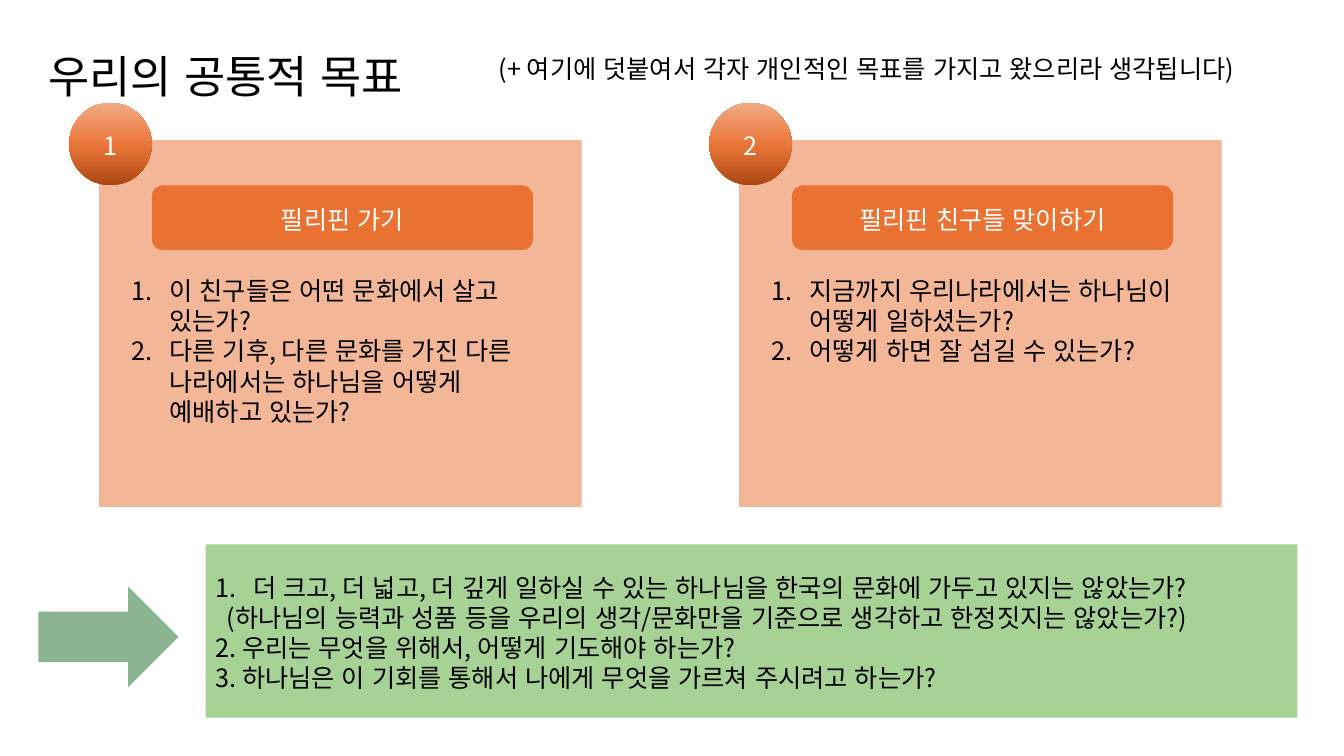
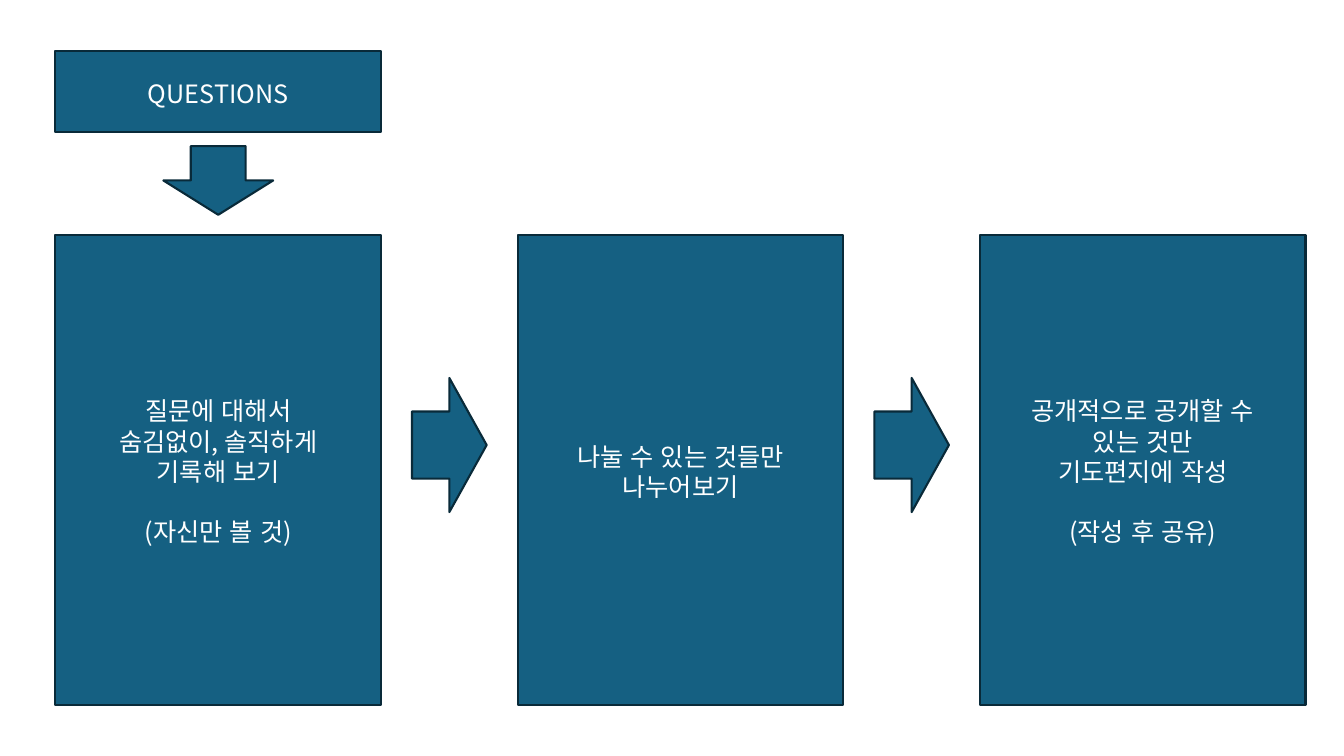
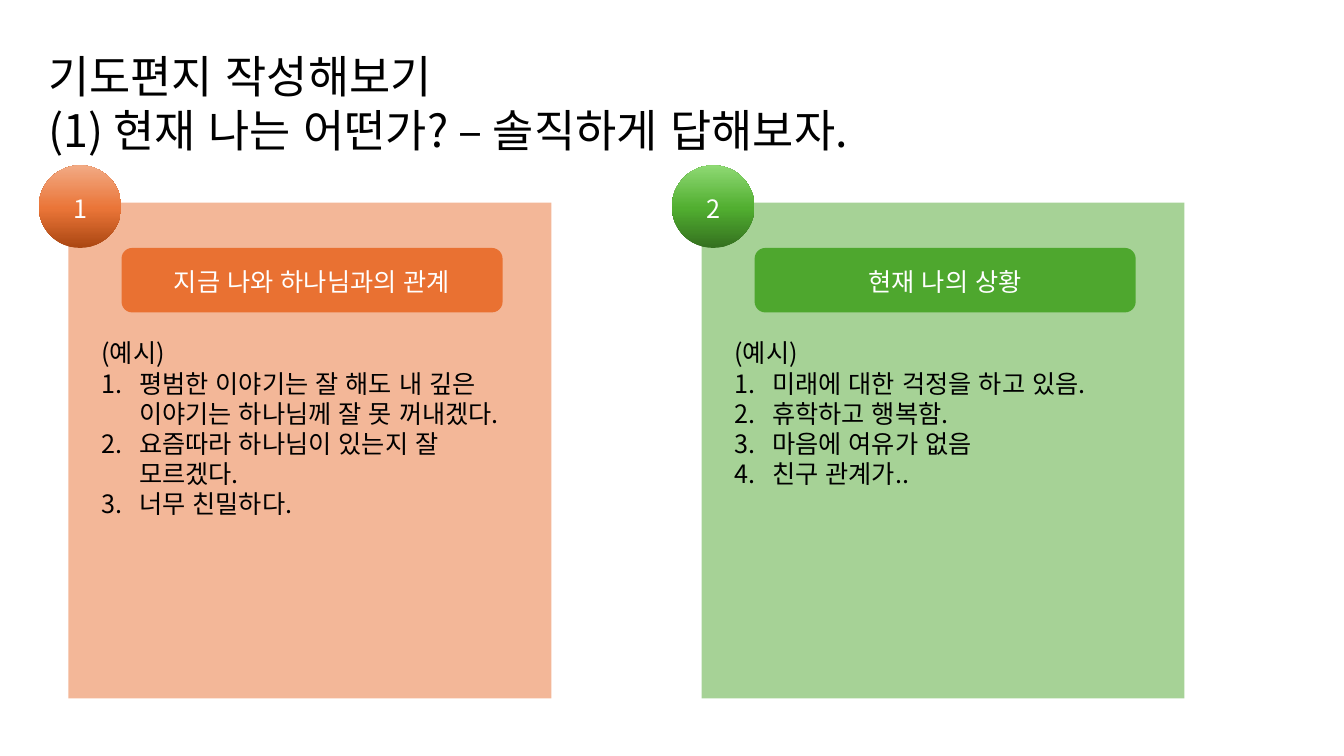
from dataclasses import dataclass

from lxml import etree
from pptx import Presentation
from pptx.dml.color import RGBColor
from pptx.enum.lang import MSO_LANGUAGE_ID
from pptx.enum.shapes import MSO_SHAPE
from pptx.enum.text import MSO_ANCHOR, PP_ALIGN
from pptx.oxml.ns import qn
from pptx.util import Pt

RECTANGLE = MSO_SHAPE.RECTANGLE
ROUNDED = MSO_SHAPE.ROUNDED_RECTANGLE
OVAL = MSO_SHAPE.OVAL
RIGHT_ARROW = MSO_SHAPE.RIGHT_ARROW
DOWN_ARROW = MSO_SHAPE.DOWN_ARROW
TOP, MIDDLE = MSO_ANCHOR.TOP, MSO_ANCHOR.MIDDLE
LEFT, CENTER = PP_ALIGN.LEFT, PP_ALIGN.CENTER
KOREAN = MSO_LANGUAGE_ID.KOREAN

FONT = "Noto Sans CJK KR"
BODY_SIZE, TITLE_SIZE = 18, 32
LINE_HEIGHT, TOP_PAD = 1.2, 0.12
HANGING = 27
BLACK, WHITE = "000000", "FFFFFF"
ORANGE, GREEN, DARK_GREEN = "E97132", "4EA72E", "196B24"
BLUE, NAVY = "156082", "092A39"
BADGE_STOPS = {
    ORANGE: [(0, "AB4712"), (48, "EA7538"), (100, "F2AA84")],
    GREEN: [(0, "34701F"), (48, "51AE30"), (100, "8ED973")],
}


@dataclass
class Line:
    text: str
    numbered: bool = False
    before: float = 0
    indent: float = 0


def numbered(*texts):
    return [Line(text, numbered=True) for text in texts]


GOALS_TITLE = [Line("우리의 공통적 목표")]
GOALS_NOTE = [Line("(+ 여기에 덧붙여서 각자 개인적인 목표를 가지고 왔으리라 생각됩니다)")]
GOALS = [
    (ORANGE, "필리핀 가기", numbered(
        "이 친구들은 어떤 문화에서 살고 있는가?",
        "다른 기후, 다른 문화를 가진 다른 나라에서는 하나님을 어떻게 예배하고 있는가?")),
    (ORANGE, "필리핀 친구들 맞이하기", numbered(
        "지금까지 우리나라에서는 하나님이 어떻게 일하셨는가?",
        "어떻게 하면 잘 섬길 수 있는가?")),
]
REFLECTIONS = [
    Line("더 크고, 더 넓고, 더 깊게 일하실 수 있는 하나님을 한국의 문화에 가두고 있지는 않았는가?", numbered=True),
    Line("(하나님의 능력과 성품 등을 우리의 생각/문화만을 기준으로 생각하고 한정짓지는 않았는가?)", indent=8),
    Line("2. 우리는 무엇을 위해서, 어떻게 기도해야 하는가?"),
    Line("3. 하나님은 이 기회를 통해서 나에게 무엇을 가르쳐 주시려고 하는가?"),
]

STEPS = [
    [Line("질문에 대해서"), Line("숨김없이, 솔직하게"), Line("기록해 보기"),
     Line("(자신만 볼 것)", before=21.6)],
    [Line("나눌 수 있는 것들만"), Line("나누어보기")],
    [Line("공개적으로 공개할 수"), Line("있는 것만"), Line("기도편지에 작성"),
     Line("(작성 후 공유)", before=21.6)],
]

LETTER_TITLE = [Line("기도편지 작성해보기"), Line("(1) 현재 나는 어떤가? – 솔직하게 답해보자.")]
LETTER = [
    (ORANGE, "지금 나와 하나님과의 관계", [Line("(예시)")] + numbered(
        "평범한 이야기는 잘 해도 내 깊은 이야기는 하나님께 잘 못 꺼내겠다.",
        "요즘따라 하나님이 있는지 잘 모르겠다.",
        "너무 친밀하다.")),
    (GREEN, "현재 나의 상황", [Line("(예시)")] + numbered(
        "미래에 대한 걱정을 하고 있음.",
        "휴학하고 행복함.",
        "마음에 여유가 없음",
        "친구 관계가..")),
]


def color(value):
    return RGBColor.from_string(value)


def write(shape, lines, ink, size=BODY_SIZE, align=LEFT, anchor=TOP):
    frame = shape.text_frame
    frame.word_wrap = True
    frame.vertical_anchor = anchor
    frame.margin_top = Pt(3.6 + size * TOP_PAD)
    for index, line in enumerate(lines):
        para = frame.paragraphs[0] if index == 0 else frame.add_paragraph()
        para.text = line.text
        para.alignment = align
        para.line_spacing = Pt(size * LINE_HEIGHT)
        para.space_before = Pt(line.before)
        para.font.name = FONT
        para.font.size = Pt(size)
        para.font.color.rgb = color(ink)
        para.font.language_id = KOREAN
        properties = para._p.get_or_add_pPr()
        defaults = properties.find(qn("a:defRPr"))
        etree.SubElement(defaults, qn("a:ea"), typeface=FONT)
        if line.numbered:
            properties.set("marL", str(Pt(HANGING)))
            properties.set("indent", str(-Pt(HANGING)))
            number = etree.Element(qn("a:buAutoNum"), type="arabicPeriod")
            defaults.addprevious(number)
        elif line.indent:
            properties.set("marL", str(Pt(line.indent)))


def add_text(page, left, top, width, height, lines, size=BODY_SIZE):
    box = page.shapes.add_textbox(Pt(left), Pt(top), Pt(width), Pt(height))
    write(box, lines, BLACK, size)


def add_title(page, lines, width):
    add_text(page, 27.4, 27.4, width, 7.2 + len(lines) * TITLE_SIZE * LINE_HEIGHT, lines, TITLE_SIZE)


def add_block(page, kind, left, top, width, height, fill, alpha=None, outline=None):
    block = page.shapes.add_shape(kind, Pt(left), Pt(top), Pt(width), Pt(height))
    block.shadow.inherit = False
    block.fill.solid()
    block.fill.fore_color.rgb = color(fill)
    if alpha:
        tint = block._element.spPr.find(".//" + qn("a:srgbClr"))
        etree.SubElement(tint, qn("a:alpha"), val=str(alpha * 1000))
    if outline:
        block.line.color.rgb = color(outline)
        block.line.width = Pt(1.5)
    else:
        block.line.fill.background()
    return block


def shade(block, stops):
    block.fill.gradient()
    block.fill.gradient_angle = 90
    stop_list = block._element.spPr.find(".//" + qn("a:gsLst"))
    for stop in list(stop_list):
        stop_list.remove(stop)
    for position, value in stops:
        stop = etree.SubElement(stop_list, qn("a:gs"), pos=str(position * 1000))
        etree.SubElement(stop, qn("a:srgbClr"), val=value)


def add_cards(page, cards, left, top, pitch, height):
    for index, (fill, heading, lines) in enumerate(cards):
        x = left + index * pitch
        add_block(page, RECTANGLE, x, top, 344.9, height, fill, alpha=50)
        badge = add_block(page, OVAL, x - 21.2, top - 26.6, 59, 59, fill)
        shade(badge, BADGE_STOPS[fill])
        write(badge, [Line(str(index + 1))], WHITE, align=CENTER, anchor=MIDDLE)
        pill = add_block(page, ROUNDED, x + 37.9, top + 32.4, 272.2, 46.1, fill)
        write(pill, [Line(heading)], WHITE, align=CENTER, anchor=MIDDLE)
        add_text(page, x + 16.4, top + 90.7, 319, 138, lines)


def build_goals(page):
    add_title(page, GOALS_TITLE, 294.5)
    add_text(page, 349.2, 32.4, 593.3, 28.8, GOALS_NOTE)
    add_cards(page, GOALS, 70.6, 100.1, 457.2, 262.1)
    add_block(page, RIGHT_ARROW, 27.4, 419, 100.1, 72, DARK_GREEN, alpha=50)
    panel = add_block(page, RECTANGLE, 146.9, 388.8, 779.8, 123.8, GREEN, alpha=50)
    write(panel, REFLECTIONS, BLACK, anchor=MIDDLE)


def build_steps(page):
    left, width, pitch = 39.6, 232.6, 330.2
    arrow_width, down_width = 53.3, 78.5

    def add_step(x, top, height, lines):
        step = add_block(page, RECTANGLE, x, top, width, height, BLUE, outline=NAVY)
        write(step, lines, WHITE, align=CENTER, anchor=MIDDLE)

    add_step(left, 36.7, 57.6, [Line("QUESTIONS")])
    add_block(page, DOWN_ARROW, left + (width - down_width) / 2, 104.4, down_width, 49, BLUE, outline=NAVY)
    for index, lines in enumerate(STEPS):
        x = left + index * pitch
        if index:
            arrow_left = x - (pitch - width + arrow_width) / 2
            add_block(page, RIGHT_ARROW, arrow_left, 270, arrow_width, 95.8, BLUE, outline=NAVY)
        add_step(x, 167.8, 335.5, lines)


def build_letter(page):
    add_title(page, LETTER_TITLE, 664.6)
    add_cards(page, LETTER, 48.9, 144.7, 452.2, 354.2)


def main():
    deck = Presentation()
    deck.slide_width, deck.slide_height = Pt(960), Pt(540)
    for build in (build_goals, build_steps, build_letter):
        build(deck.slides.add_slide(deck.slide_layouts[6]))
    deck.save("out.pptx")


if __name__ == "__main__":
    main()
